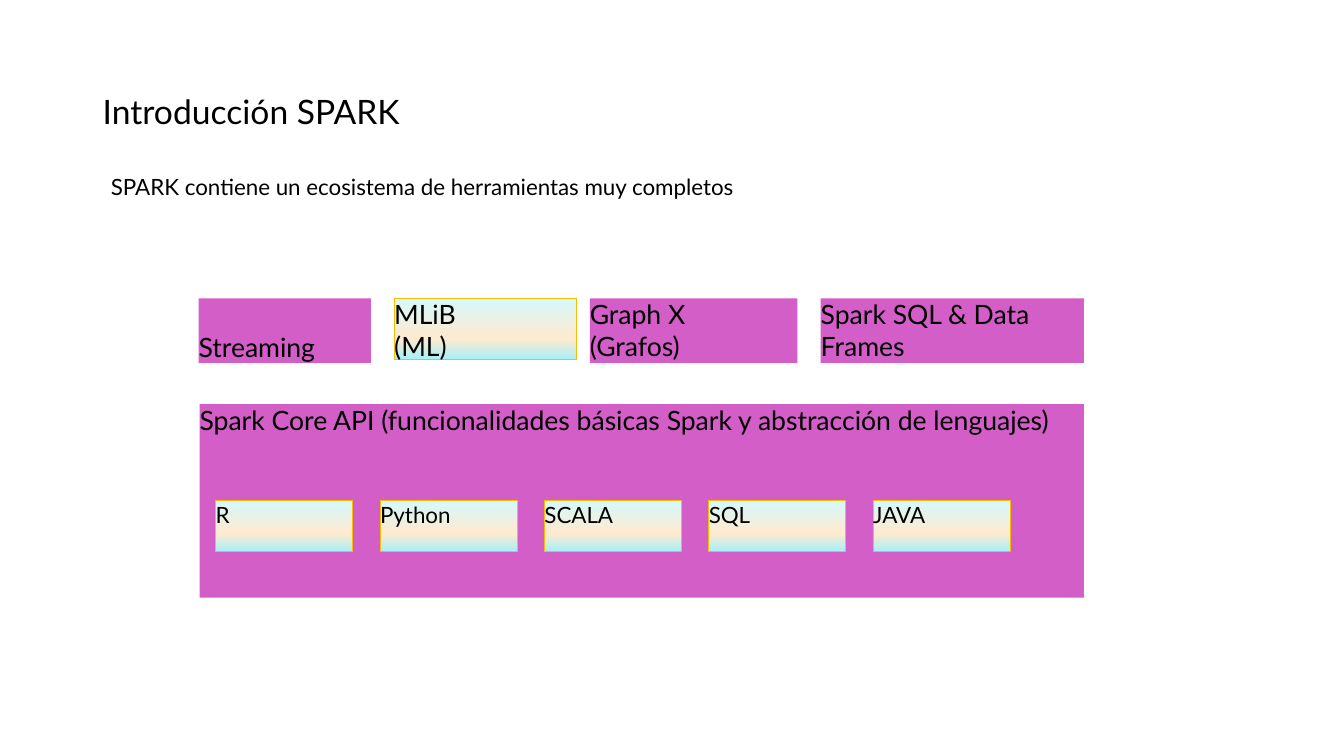
from dataclasses import dataclass

from lxml import etree
from pptx import Presentation
from pptx.dml.color import RGBColor
from pptx.enum.shapes import MSO_SHAPE
from pptx.enum.text import MSO_ANCHOR, PP_ALIGN
from pptx.oxml.ns import qn
from pptx.util import Inches, Pt

RECT = MSO_SHAPE.RECTANGLE
TOP, MIDDLE, BOTTOM = MSO_ANCHOR.TOP, MSO_ANCHOR.MIDDLE, MSO_ANCHOR.BOTTOM
LEFT = PP_ALIGN.LEFT


@dataclass(frozen=True)
class Theme:
    font: str = "Lato"
    ink: str = "000000"
    fill: str = "D45EC7"
    edge: str = "F9BC00"
    blend: tuple = ((0, "A5F0F9"), (35, "FFEACF"), (100, "D5F9FC"))
    title: int = 24
    block: int = 19
    small: int = 16


THEME = Theme()


def write(shape, text, size=THEME.block, anchor=TOP, inset=0, spacing=1.0):
    """Put text in a shape, one paragraph for each line."""
    frame = shape.text_frame
    frame.word_wrap = True
    frame.vertical_anchor = anchor
    frame.margin_left = frame.margin_right = Inches(inset)
    frame.margin_top = frame.margin_bottom = Inches(inset / 2)
    frame.text = text
    for para in frame.paragraphs:
        para.alignment = LEFT
        para.line_spacing = spacing
        para.font.name = THEME.font
        para.font.size = Pt(size)
        para.font.color.rgb = RGBColor.from_string(THEME.ink)


def label(slide, box, text, **form):
    area = slide.shapes.add_textbox(*map(Inches, box))
    write(area, text, **form)


def blend(shape):
    """Fill a shape from bottom to top with the theme's colour stops."""
    shape.fill.gradient()
    shape.fill.gradient_angle = 90
    stops = shape.element.spPr.find(qn("a:gradFill")).find(qn("a:gsLst"))
    for stop in list(stops):
        stops.remove(stop)
    for place, color in THEME.blend:
        stop = etree.SubElement(stops, qn("a:gs"), pos=str(place * 1000))
        etree.SubElement(stop, qn("a:srgbClr"), val=color)


def block(slide, box, text, bright=False, **form):
    shape = slide.shapes.add_shape(RECT, *map(Inches, box))
    shape.shadow.inherit = False
    if bright:
        blend(shape)
        shape.line.color.rgb = RGBColor.from_string(THEME.edge)
        shape.line.width = Pt(0.75)
    else:
        shape.fill.solid()
        shape.fill.fore_color.rgb = RGBColor.from_string(THEME.fill)
        shape.line.fill.background()
    write(shape, text, **form)


def header(slide, box):
    left, top, width, height = box
    label(slide, box, "Introducción SPARK", size=THEME.title,
          anchor=MIDDLE, inset=0.1, spacing=0.9)
    label(slide, (left + 0.18, top + 1.32, width - 0.97, 0.26),
          "SPARK contiene un ecosistema de herramientas muy completos",
          size=THEME.small)


def tools(slide, box):
    left, top, width, height = box
    # Offset, width, text, and format of each library
    parts = (
        (0, 1.71, "Streaming", {"anchor": BOTTOM}),
        (1.94, 1.81, "MLiB\n(ML)", {"bright": True}),
        (3.88, 2.06, "Graph X\n(Grafos)", {}),
        (6.17, width - 6.17, "Spark SQL & Data Frames", {}),
    )
    for shift, wide, text, form in parts:
        tall = height - 0.03 if form.get("bright") else height
        block(slide, (left + shift, top, wide, tall), text, **form)


def core(slide, box):
    left, top, width, height = box
    block(slide, box, "Spark Core API (funcionalidades básicas Spark y "
                      "abstracción de lenguajes)")
    # Languages at an even step
    wide, gap = 1.36, 0.27
    for i, name in enumerate(("R", "Python", "SCALA", "SQL", "JAVA")):
        spot = (left + 0.16 + i * (wide + gap), top + 0.96, wide, 0.5)
        block(slide, spot, name, bright=True, size=THEME.small)


def main():
    deck = Presentation()
    deck.slide_width, deck.slide_height = Inches(13.33), Inches(7.5)
    slide = deck.slides.add_slide(deck.slide_layouts[6])
    header(slide, (0.92, 0.4, 11.5, 1.45))
    tools(slide, (1.97, 2.96, 8.78, 0.64))
    core(slide, (1.98, 4.01, 8.77, 1.92))
    deck.save("out.pptx")


if __name__ == "__main__":
    main()
